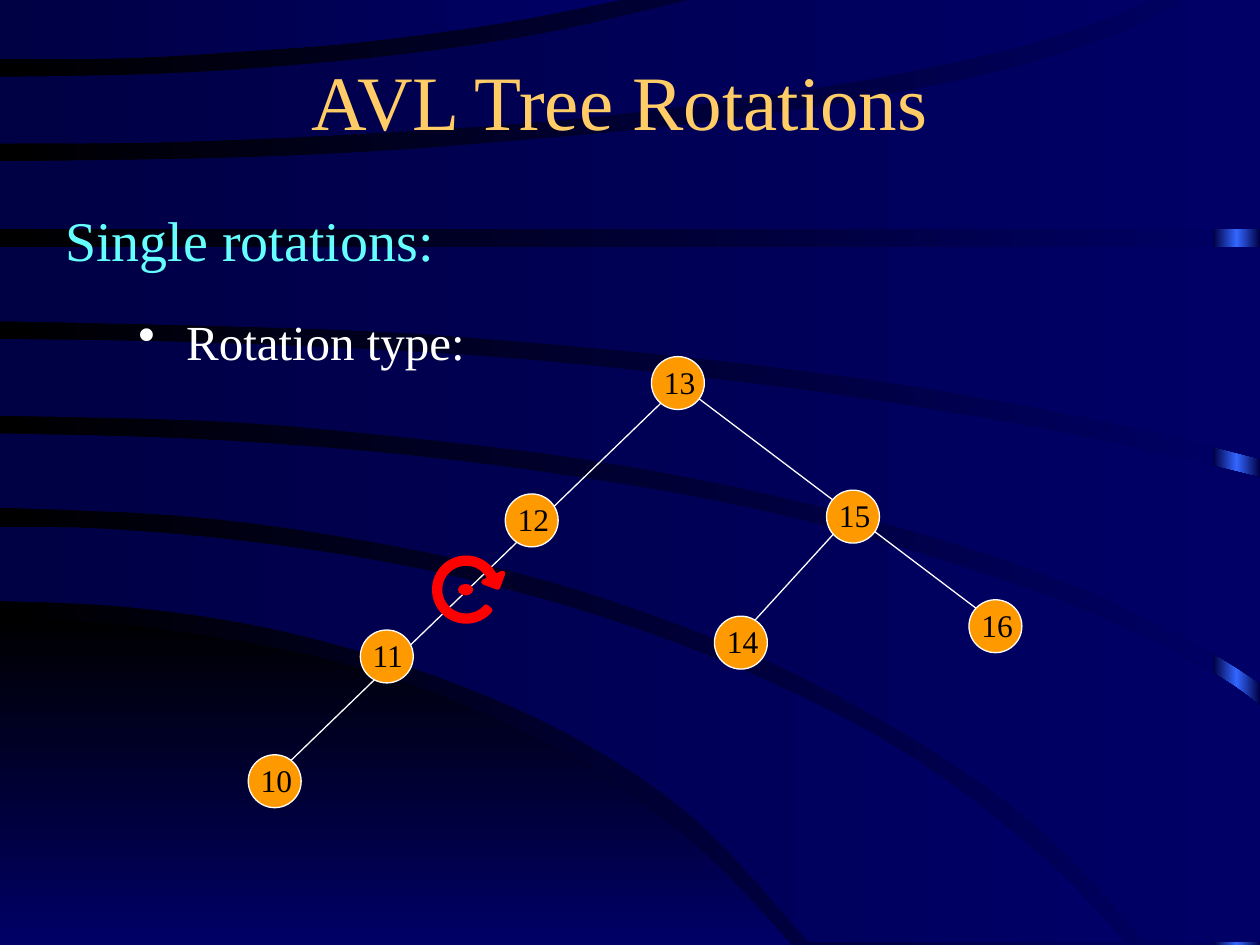
from copy import deepcopy
from math import cos, radians, sin

from lxml.etree import SubElement
from pptx import Presentation
from pptx.dml.color import RGBColor
from pptx.enum.shapes import MSO_CONNECTOR, MSO_SHAPE
from pptx.enum.text import MSO_ANCHOR, MSO_AUTO_SIZE, PP_ALIGN
from pptx.oxml.ns import qn
from pptx.util import Inches, Pt

COLUMNS, ROWS = 10, 7.5
NODE = 0.42
DOWN = 270

# Background curves: upper edge, right-hand corners, lower edge
MOUND = (
    [(0, 4.91), (0.86, 4.95), (1.65, 5.05), (2.49, 5.21), (3.27, 5.44),
     (3.86, 5.68), (4.62, 6.06), (5.28, 6.51), (5.77, 6.94), (6.28, 7.5)],
    [], [(0, 7.5), (6.28, 7.5)])
BANDS = [
    ([(0, 4.18), (0.87, 4.2), (2.06, 4.31), (3.35, 4.52), (4.72, 4.88),
      (6.06, 5.39), (7.27, 6.03), (8.33, 6.85), (8.93, 7.48)],
     [],
     [(0, 4.77), (1.05, 4.82), (2.21, 5), (3.42, 5.35), (4.54, 5.84),
      (5.53, 6.51), (6.42, 7.48)]),
    ([(0, 3.44), (1.44, 3.48), (2.89, 3.58), (4.26, 3.74), (5.7, 3.98),
      (6.93, 4.28), (8.18, 4.68), (9.04, 5.03), (9.69, 5.38), (10, 5.6)],
     [(10, 7.48)],
     [(0, 4.03), (1.4, 4.09), (2.67, 4.25), (4.05, 4.53), (5.21, 4.89),
      (6.36, 5.37), (7.56, 6.06), (8.38, 6.7), (9.09, 7.48)]),
    ([(0, 2.69), (1.24, 2.71), (2.65, 2.76), (3.99, 2.84), (5.23, 2.96),
      (6.62, 3.13), (8.16, 3.38), (9.05, 3.56), (10, 3.79)],
     [],
     [(0, 3.3), (1.67, 3.34), (3.03, 3.45), (4.62, 3.64), (6.1, 3.92),
      (7.43, 4.27), (8.53, 4.65), (9.51, 5.12), (10, 5.42)]),
    ([(0, 1.96), (10, 1.96)],
     [],
     [(0, 2.55), (1.47, 2.58), (2.78, 2.62), (3.89, 2.69), (5.52, 2.84),
      (7.02, 3.03), (8.13, 3.22), (9.15, 3.43), (10, 3.64)]),
    ([(0, 1.28), (1.57, 1.26), (2.86, 1.21), (4.2, 1.11), (5.54, 0.98),
      (6.84, 0.79), (8.03, 0.54), (8.92, 0.25), (9.43, -0.02)],
     [(10, -0.02)],
     [(0, 1.82), (10, 1.82)]),
    ([(0, 0.61), (1.21, 0.59), (2.33, 0.52), (3.47, 0.4), (4.45, 0.24),
      (5.56, -0.02)],
     [],
     [(0, 1.14), (1.26, 1.13), (2.7, 1.07), (4.25, 0.97), (5.45, 0.84),
      (6.83, 0.64), (8.02, 0.39), (8.83, 0.13), (9.17, -0.02)]),
    ([(0, -0.02), (5.01, -0.02)],
     [],
     [(0, 0.47), (1.01, 0.46), (2.02, 0.4), (2.89, 0.33), (3.99, 0.18),
      (5.01, -0.02)]),
]

# Tree: node positions by key, and its straight branches
NODES = {"13": (5.17, 2.83), "15": (6.56, 3.89), "16": (7.69, 4.76),
         "12": (4.01, 3.92), "14": (5.67, 4.89), "11": (2.86, 5),
         "10": (1.97, 5.99)}
BRANCHES = [((6.76, 4.08), (5.93, 4.99)), ((2.17, 6.17), (5.39, 3.06)),
            ((5.33, 3), (7.75, 4.83))]


def color(value):
    return RGBColor.from_string(value)


def smooth(points, steps=4):
    """Run a Catmull-Rom curve through the points."""
    padded = [points[0], *points, points[-1]]
    curve = [points[0]]
    for a, b, c, d in zip(padded, padded[1:], padded[2:], padded[3:]):
        for step in range(1, steps + 1):
            t = step / steps
            curve.append(tuple(
                q + t / 2 * (r - p + t * (2 * p - 5 * q + 4 * r - s
                                          + t * (3 * (q - r) + s - p)))
                for p, q, r, s in zip(a, b, c, d)))
    return curve


def arc(center, radius, angles):
    x, y = center
    return [(x + radius * cos(radians(angle)), y + radius * sin(radians(angle)))
            for angle in angles]


class TreeSlide:
    font = "Times New Roman"
    white, red, orange = "FFFFFF", "FF0000", "FF9900"

    def __init__(self, deck):
        self.page = deck.slides.add_slide(deck.slide_layouts[5])
        self.shapes = self.page.shapes
        self.unit = deck.slide_width / COLUMNS

    def grid(self, *values):
        return [round(value * self.unit) for value in values]

    def gradient(self, fill, colors, angle=0):
        fill.gradient()
        fill.gradient_angle = angle
        first = fill.gradient_stops[0]._gs
        for _ in colors[2:]:
            first.addnext(deepcopy(first))
        for index, (stop, value) in enumerate(zip(fill.gradient_stops, colors)):
            stop.color.rgb = color(value)
            stop.position = index / (len(colors) - 1)

    def paint(self, shape, fill=None, line=None, width=0.75):
        shape.shadow.inherit = False
        if fill:
            shape.fill.solid()
            shape.fill.fore_color.rgb = color(fill)
        if line:
            shape.line.color.rgb = color(line)
            shape.line.width = Pt(width)
        else:
            shape.line.fill.background()
        return shape

    def outline(self, points, shapes=None):
        start, *rest = [self.grid(*point) for point in points]
        builder = (shapes or self.shapes).build_freeform(*start)
        builder.add_line_segments(rest, close=True)
        return builder.convert_to_shape()

    def band(self, edges, colors, angle=0):
        upper, corners, lower = edges
        shape = self.outline(smooth(upper) + corners + smooth(lower)[::-1])
        self.gradient(self.paint(shape).fill, colors, angle)

    def strip(self, place, colors):
        shape = self.shapes.add_shape(MSO_SHAPE.RECTANGLE, *self.grid(*place))
        self.gradient(self.paint(shape).fill, colors)

    def ellipse(self, place, fill, line, shapes=None):
        shape = (shapes or self.shapes).add_shape(MSO_SHAPE.OVAL, *self.grid(*place))
        self.paint(shape, fill, line)

    def branch(self, start, end):
        line = self.shapes.add_connector(
            MSO_CONNECTOR.STRAIGHT, *self.grid(*start, *end))
        line.line.color.rgb = color(self.white)
        line.line.width = Pt(0.75)
        SubElement(line._element.spPr, qn("a:effectLst"))

    def set_text(self, box, text, size, ink, bullet=False):
        frame = box.text_frame
        frame.text = text
        frame.word_wrap = True
        frame.auto_size = MSO_AUTO_SIZE.NONE
        para = frame.paragraphs[0]
        if bullet:
            properties = para._p.get_or_add_pPr()
            properties.set("marL", str(Inches(0.38)))
            properties.set("indent", str(-Inches(0.38)))
            SubElement(properties, qn("a:buChar"), char="•")
        font = para.runs[0].font
        font.name, font.size = self.font, Pt(size)
        font.color.rgb = color(ink)
        return para

    def title(self, place, text):
        box = self.shapes.title
        self.shapes._spTree.append(box._element)  # in front of the bands
        box.left, box.top, box.width, box.height = self.grid(*place)
        self.set_text(box, text, 44, "FFCC66").alignment = PP_ALIGN.CENTER
        box.text_frame.vertical_anchor = MSO_ANCHOR.MIDDLE

    def text(self, place, text, size, ink, bullet=False):
        box = self.shapes.add_textbox(*self.grid(*place))
        self.set_text(box, text, size, ink, bullet)

    def node(self, key, left, top):
        self.ellipse((left, top, NODE, NODE), self.orange, self.white)
        self.text((left, top, 0.5, 0.4), key, 18, "000000")

    def rotation(self, center):
        x, y = center
        group = self.shapes.add_group_shape().shapes
        angles = range(-24, -320, -5)
        head = [(x + 0.29, y - 0.13), (x + 0.25, y - 0.02), (x + 0.14, y - 0.06)]
        ring = arc(center, 0.21, angles) + arc(center, 0.25, angles[::-1])
        self.paint(self.outline(ring + head, group), self.red, self.red, 3)
        self.ellipse((x - 0.06, y - 0.04, 0.11, 0.08), self.red, self.red, group)


def main():
    deck = Presentation()
    deck.slide_width, deck.slide_height = Inches(COLUMNS), Inches(ROWS)
    slide = TreeSlide(deck)

    # Background
    slide.gradient(slide.page.background.fill, ["000000", "000066"])
    slide.strip((9.63, 0, 0.37, ROWS), ["000044", "3366FF", "000044"])
    slide.band(MOUND, ["000000", "000066"], DOWN)
    for edges in BANDS:
        slide.band(edges, ["000044", "000066"])

    # Branches lie behind the headings and nodes
    for start, end in BRANCHES:
        slide.branch(start, end)
    slide.title((0.67, 0.17, 8.5, 1.25), "AVL Tree Rotations")
    slide.text((0.42, 1.58, 9.33, 0.67), "Single rotations:", 32, "66FFFF")

    # Tree nodes and rotation mark
    for key, (left, top) in NODES.items():
        slide.node(key, left, top)
    slide.rotation((3.7, 4.68))
    slide.text((1, 2.42, 3.67, 0.67), "Rotation type:", 28, slide.white, bullet=True)

    deck.save("out.pptx")


if __name__ == "__main__":
    main()
